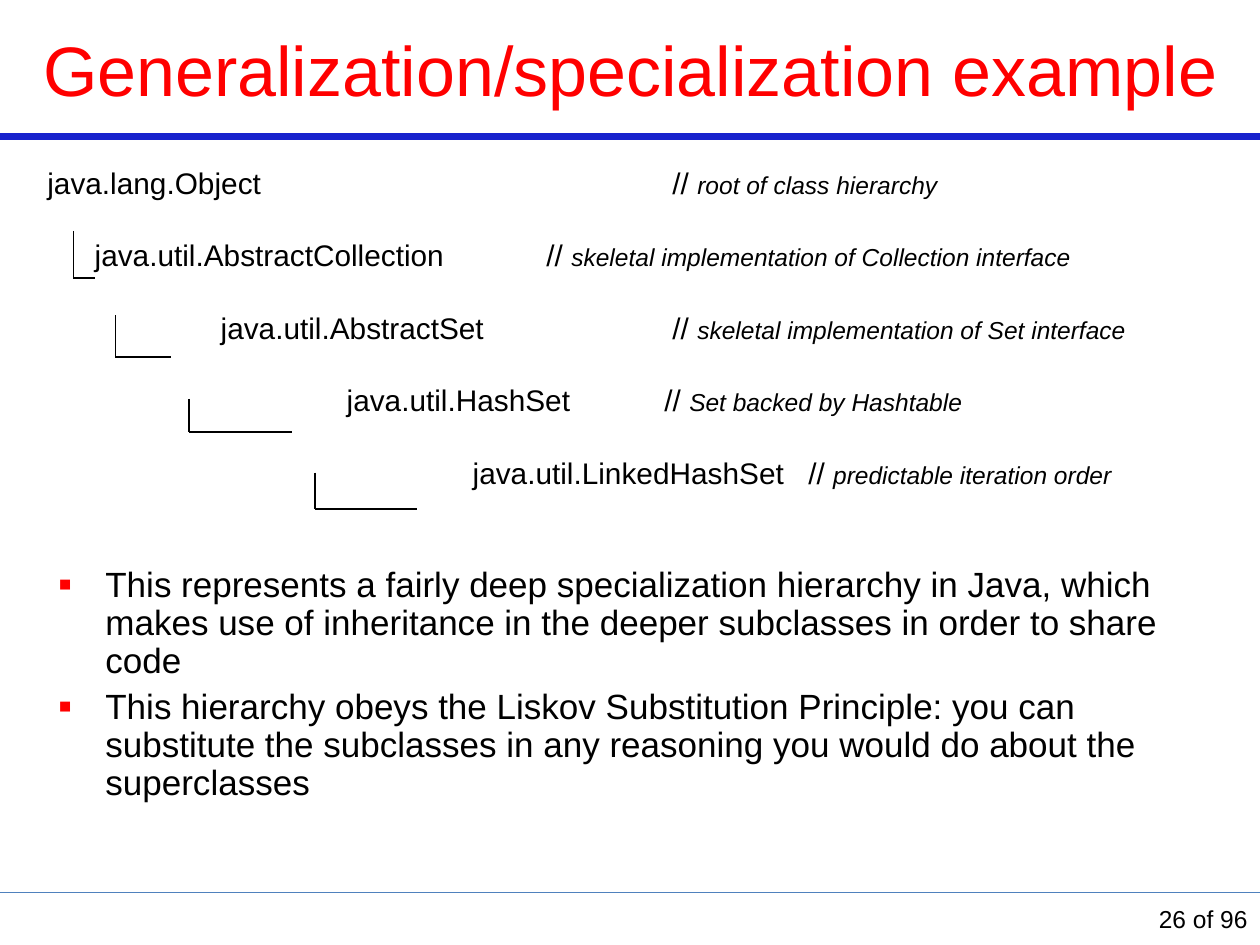
from typing import NamedTuple

from pptx import Presentation
from pptx.dml.color import RGBColor
from pptx.enum.shapes import MSO_CONNECTOR as Connector
from pptx.enum.text import MSO_ANCHOR as Anchor, MSO_AUTO_SIZE as AutoSize, PP_ALIGN as Align
from pptx.oxml.ns import qn
from pptx.util import Pt
from lxml.etree import SubElement

COLORS = {
    "title": "FF0000",
    "bullet": "FF0000",
    "text": "000000",
    "branch": "000000",
    "header_rule": "1822CD",
    "footer_rule": "4F81BD",
}
FONT = "Arial"
FIRST_INDENT = 27
INDENT_STEP = 72


class ClassLine(NamedTuple):
    name: str
    comment: str
    comment_at: float


class Branch(NamedTuple):
    left: float
    top: float
    right: float
    bottom: float


CLASS_LINES = [
    ClassLine("java.lang.Object", "root of class hierarchy", 357.2),
    ClassLine("java.util.AbstractCollection", "skeletal implementation of Collection interface", 285.2),
    ClassLine("java.util.AbstractSet", "skeletal implementation of Set interface", 357.2),
    ClassLine("java.util.HashSet", "Set backed by Hashtable", 352.6),
    ClassLine("java.util.LinkedHashSet", "predictable iteration order", 434.8),
]
BRANCHES = [
    Branch(42, 132, 54.5, 159),
    Branch(66, 180, 98, 204),
    Branch(108, 228, 167, 247),
    Branch(180, 270, 238.5, 291),
]
POINTS = [
    "This represents a fairly deep specialization hierarchy in Java, which makes use of "
    "inheritance in the deeper subclasses in order to share code",
    "This hierarchy obeys the Liskov Substitution Principle: you can substitute the "
    "subclasses in any reasoning you would do about the superclasses",
]


def place(shape, left: float, top: float, width: float, height: float) -> None:
    shape.left, shape.top, shape.width, shape.height = map(Pt, (left, top, width, height))


def style(span, size: float, color: str = "text", italic: bool = False) -> None:
    span.font.name = FONT
    span.font.size = Pt(size)
    span.font.italic = italic
    span.font.color.rgb = RGBColor.from_string(COLORS[color])


def add_box(page, left: float, top: float, width: float, height: float):
    box = page.shapes.add_textbox(*map(Pt, (left, top, width, height)))
    box.text_frame.word_wrap = True
    return box


def add_line(shapes, x1: float, y1: float, x2: float, y2: float, color: str, weight: float) -> None:
    line = shapes.add_connector(Connector.STRAIGHT, *map(Pt, (x1, y1, x2, y2)))
    line.line.color.rgb = RGBColor.from_string(COLORS[color])
    line.line.width = Pt(weight)
    SubElement(line._element.spPr, qn("a:effectLst"))


def add_branch(page, branch: Branch) -> None:
    group = page.shapes.add_group_shape()
    left, top, right, bottom = branch
    add_line(group.shapes, left, top, left, bottom, "branch", 1)
    add_line(group.shapes, left, bottom, right, bottom, "branch", 1)


def set_tabs(para, stops: list[float]) -> None:
    tab_list = SubElement(para._p.get_or_add_pPr(), qn("a:tabLst"))
    for stop in stops:
        SubElement(tab_list, qn("a:tab"), pos=str(Pt(stop)), algn="l")


def set_bullet(para) -> None:
    properties = para._p.get_or_add_pPr()
    properties.set("marL", str(Pt(27)))
    properties.set("indent", str(Pt(-27)))
    color = SubElement(properties, qn("a:buClr"))
    SubElement(color, qn("a:srgbClr"), val=COLORS["bullet"])
    SubElement(properties, qn("a:buSzPct"), val="114000")
    SubElement(properties, qn("a:buFont"), typeface=FONT)
    SubElement(properties, qn("a:buChar"), char="▪")


def add_hierarchy(page) -> None:
    frame = add_box(page, 20, 93, 670, 227).text_frame
    for level, line in enumerate(CLASS_LINES):
        para = frame.add_paragraph() if level else frame.paragraphs[0]
        para.line_spacing = 0.9
        para.space_before = Pt(3.5)
        para.space_after = Pt(19.5)
        name_stops = [FIRST_INDENT + INDENT_STEP * (level - 1)] if level else []
        set_tabs(para, name_stops + [line.comment_at])
        name, comment = para.add_run(), para.add_run()
        name.text = "\t" * len(name_stops) + f"{line.name}\t// "
        comment.text = line.comment
        style(name, 17)
        style(comment, 14, italic=True)


def fill_title(title) -> None:
    place(title, 0, 0, 720, 78)
    frame = title.text_frame
    frame.text = "Generalization/specialization example"
    frame.auto_size = AutoSize.NONE
    frame.vertical_anchor = Anchor.MIDDLE
    frame.paragraphs[0].alignment = Align.CENTER
    style(frame.paragraphs[0].runs[0], 40, "title")


def fill_points(body) -> None:
    place(body, 26, 320.5, 658, 160)
    frame = body.text_frame
    frame.text = "\n".join(POINTS)
    frame.auto_size = AutoSize.NONE
    for para in frame.paragraphs:
        para.line_spacing = 0.9
        para.space_before = Pt(5)
        set_bullet(para)
        style(para.runs[0], 20)


def add_page_number(page) -> None:
    frame = add_box(page, 600, 510, 120, 30).text_frame
    frame.text = "26 of 96"
    frame.vertical_anchor = Anchor.MIDDLE
    frame.paragraphs[0].alignment = Align.RIGHT
    style(frame.paragraphs[0].runs[0], 14)


def main() -> None:
    deck = Presentation()
    deck.slide_width, deck.slide_height = Pt(720), Pt(540)
    page = deck.slides.add_slide(deck.slide_layouts[1])
    add_line(page.shapes, 0, 78, 720, 78, "header_rule", 4.5)
    add_line(page.shapes, 0, 510, 720, 510, "footer_rule", 0.75)
    fill_title(page.shapes.title)
    add_hierarchy(page)
    fill_points(page.placeholders[1])
    for branch in BRANCHES:
        add_branch(page, branch)
    add_page_number(page)
    deck.save("out.pptx")


if __name__ == "__main__":
    main()
